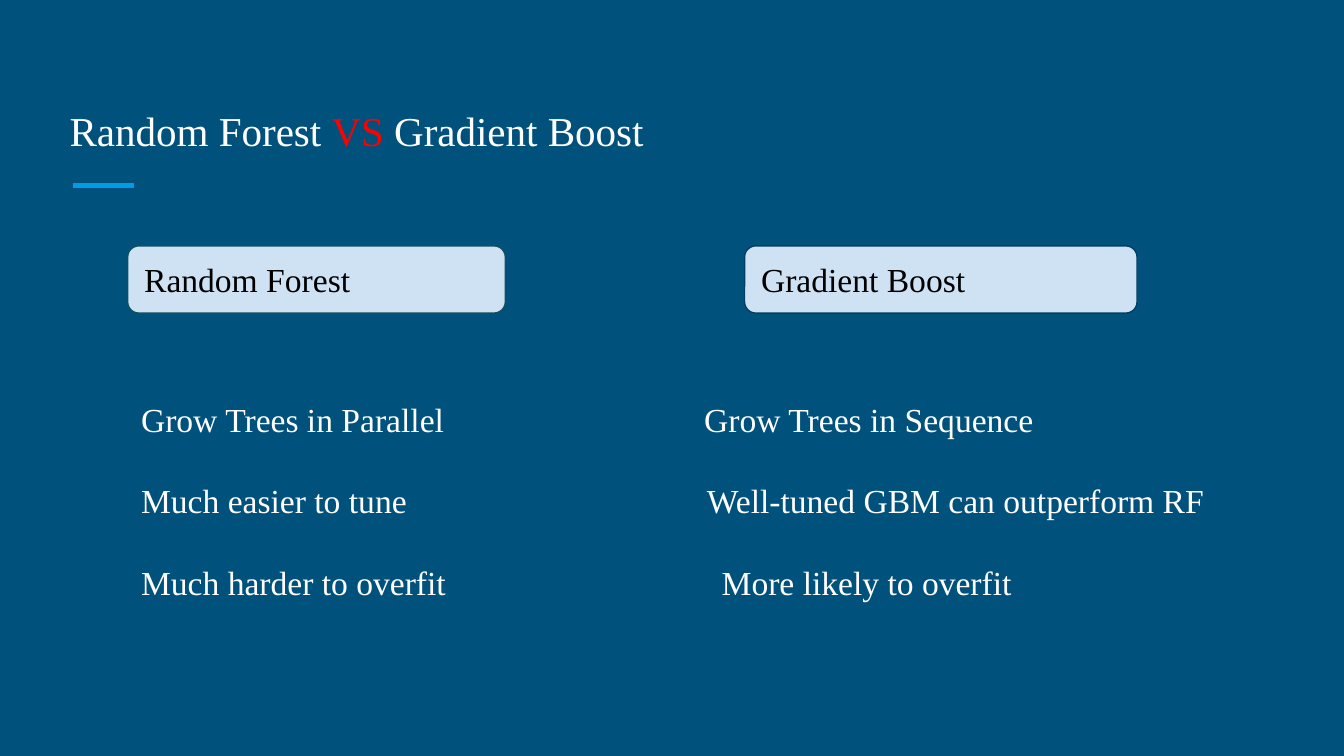
"""Build a slide comparing random forest with gradient boost."""
from lxml.etree import SubElement
from pptx import Presentation
from pptx.dml.color import RGBColor
from pptx.enum.shapes import MSO_CONNECTOR as Connector, MSO_SHAPE as Shape
from pptx.enum.text import MSO_ANCHOR as Anchor, PP_ALIGN as Align
from pptx.oxml.ns import qn
from pptx.util import Inches, Pt

THEME = {
    "font": "Times New Roman", "title": 22, "body": 18,
    "background": "00517C", "accent": "039BE5", "light": "FFFFFF",
    "dark": "000000", "versus": "FF0000", "label": "CFE2F3",
}
TITLE = [("Random Forest ", "light"), ("VS", "versus"), (" Gradient Boost", "light")]
LABELS = [
    ("Random Forest", 0.95, 2.81, "134F5C"),
    ("Gradient Boost", 5.54, 2.92, "004065"),
]
ROWS = [
    ("Grow Trees in Parallel", "Grow Trees in Sequence", 4.19),
    ("Much easier to tune", "Well-tuned GBM can outperform RF", 4.21),
    ("Much harder to overfit", "More likely to overfit", 4.32),
]
ROW_GAP = 21.9


def rgb(value):
    """Turn a hex string into a colour."""
    return RGBColor.from_string(value)


def add_text(para, text, size="body", color="light"):
    """Append a formatted span to a paragraph."""
    span = para.add_run()
    span.text = text
    span.font.name = THEME["font"]
    span.font.size = Pt(THEME[size])
    span.font.color.rgb = rgb(THEME[color])
    para.alignment = Align.LEFT


def set_frame(box, anchor, left=0.1, top=0.1):
    """Set wrapping, anchor and insets, and return the text frame."""
    frame = box.text_frame
    frame.word_wrap = True
    frame.vertical_anchor = anchor
    frame.margin_left, frame.margin_top = Inches(left), Inches(top)
    frame.margin_right = frame.margin_bottom = Inches(0.1)
    return frame


def add_tab_stop(para, position):
    """Give a paragraph one left tab stop."""
    stops = SubElement(para._p.get_or_add_pPr(), qn("a:tabLst"))
    SubElement(stops, qn("a:tab"), pos=str(Inches(position)), algn="l")


def add_title(page):
    """Add the accent line and the coloured title."""
    line = page.shapes.add_connector(
        Connector.STRAIGHT, Inches(0.54), Inches(1.38), Inches(1), Inches(1.38))
    line.line.color.rgb = rgb(THEME["accent"])
    line.line.width = Pt(3)
    SubElement(line._element.spPr, qn("a:effectLst"))
    box = page.shapes.add_textbox(Inches(0.42), Inches(0.5), Inches(9.15), Inches(0.75))
    para = set_frame(box, Anchor.BOTTOM).paragraphs[0]
    for text, color in TITLE:
        add_text(para, text, size="title", color=color)


def add_rows(page):
    """Add the paired statements, aligned by tab stops."""
    box = page.shapes.add_textbox(Inches(0.82), Inches(2.24), Inches(8.36), Inches(3.4))
    frame = set_frame(box, Anchor.TOP, left=0.23, top=0.73)
    for index, (forest, boost, position) in enumerate(ROWS):
        para = frame.add_paragraph() if index else frame.paragraphs[0]
        para.space_after = Pt(ROW_GAP)
        add_tab_stop(para, position)
        add_text(para, f"{forest}\t{boost}")


def add_label(page, text, left, width, outline):
    """Add one rounded column label."""
    box = page.shapes.add_shape(
        Shape.ROUNDED_RECTANGLE, Inches(left), Inches(1.83), Inches(width), Inches(0.5))
    box.shadow.inherit = False
    box.fill.solid()
    box.fill.fore_color.rgb = rgb(THEME["label"])
    box.line.color.rgb = rgb(outline)
    box.line.width = Pt(0.75)
    add_text(set_frame(box, Anchor.MIDDLE).paragraphs[0], text, color="dark")


def main():
    """Build and save the deck."""
    deck = Presentation()
    deck.slide_width = Inches(10)
    deck.slide_height = deck.slide_width * 9 // 16
    page = deck.slides.add_slide(deck.slide_layouts[6])
    page.background.fill.solid()
    page.background.fill.fore_color.rgb = rgb(THEME["background"])
    add_title(page)
    add_rows(page)
    for label in LABELS:
        add_label(page, *label)
    deck.save("out.pptx")


if __name__ == "__main__":
    main()
